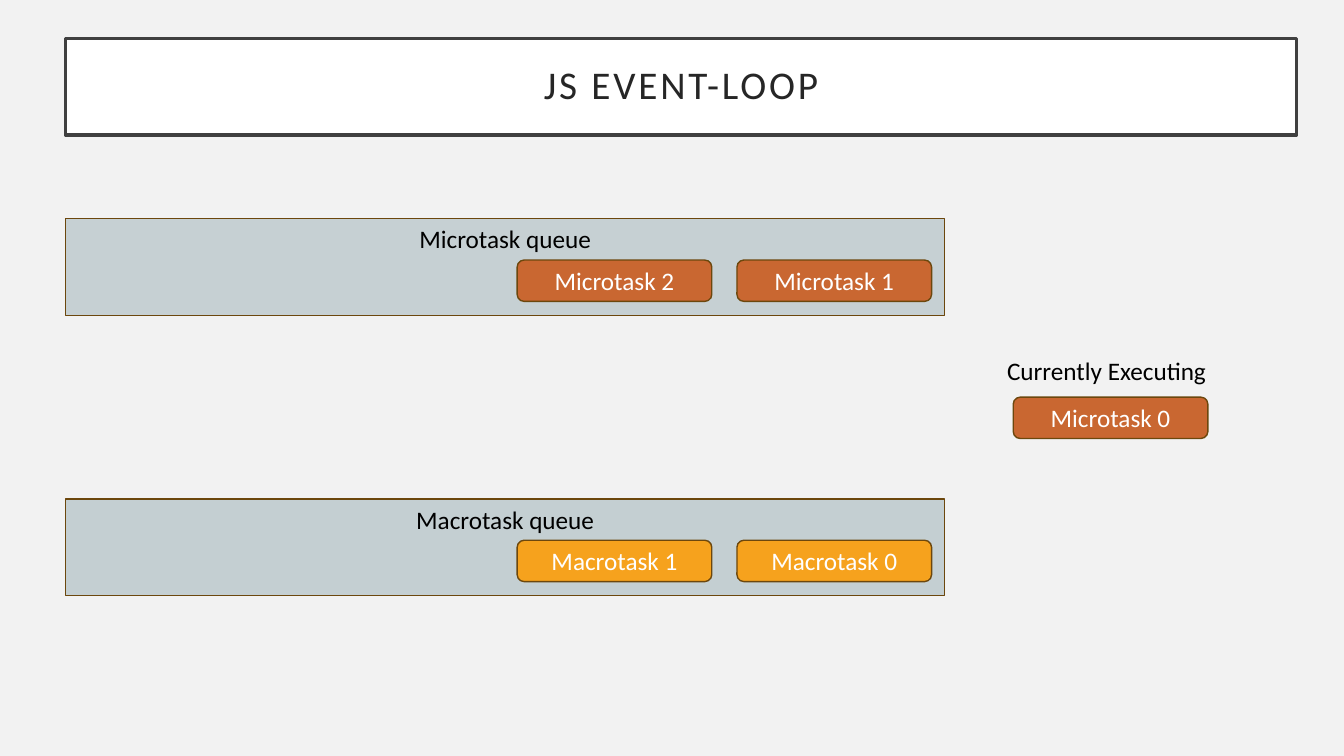
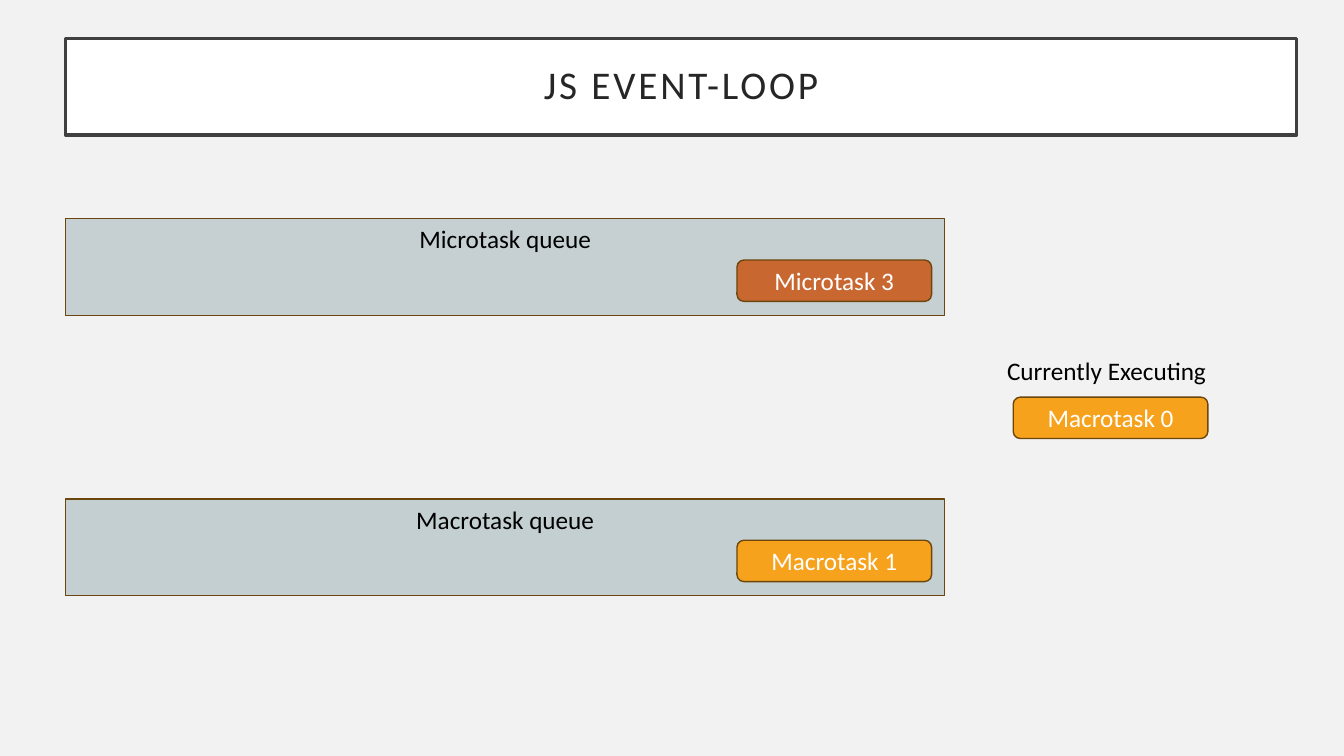
from lxml.etree import SubElement
from pptx import Presentation
from pptx.dml.color import RGBColor
from pptx.enum.shapes import MSO_SHAPE
from pptx.enum.text import MSO_ANCHOR, MSO_AUTO_SIZE, PP_ALIGN
from pptx.oxml.ns import qn
from pptx.util import Pt

PX = 9144
FONT = "Calibri"
BACKGROUND, WHITE, BLACK = "F2F2F2", "FFFFFF", "000000"
TITLE_LINE, TITLE_TEXT = "404040", "262626"
QUEUE_FILL, OUTLINE = "9BAFB5", "6C470D"
TASK_FILLS = {"Microtask": "C96731", "Macrotask": "F6A21D"}

TITLE_BOX = (65, 38, 1221, 96)
QUEUES = {
    "Microtask": ((65, 217, 872, 96), 50),
    "Macrotask": ((65, 495, 872, 96), 52),
}
EXECUTING_BOX = (989, 348, 224, 40)
TASK_WIDTH, TASK_HEIGHT, TASK_GAP = 193, 41, 25
QUEUE_MARGIN, QUEUE_HEADING = 13, 41

SLIDES = [
    {"Microtask": [1, 2], "Macrotask": [0, 1], "executing": ("Microtask", 0)},
    {"Microtask": [3], "Macrotask": [1], "executing": ("Macrotask", 0)},
]


def color(code):
    """Turn a hex string into a colour."""
    return RGBColor.from_string(code)


def emu(box):
    """Scale a box in px to EMU."""
    return [length * PX for length in box]


def write(shape, text, size, code, align):
    """Write one run of text and return it with its paragraph."""
    para = shape.text_frame.paragraphs[0]
    para.alignment = align
    span = para.add_run()
    span.text = text
    span.font.name = FONT
    span.font.size = Pt(size)
    span.font.color.rgb = color(code)
    return para, span


def add_panel(page, kind, box, fill, line, width):
    """Add a filled and outlined shape without a shadow."""
    panel = page.shapes.add_shape(kind, *emu(box))
    panel.shadow.inherit = False
    panel.fill.solid()
    panel.fill.fore_color.rgb = color(fill)
    panel.line.color.rgb = color(line)
    panel.line.width = Pt(width)
    return panel


def add_title(page, box, text):
    """Add the framed, letter-spaced title."""
    title = add_panel(page, MSO_SHAPE.RECTANGLE, box, WHITE, TITLE_LINE, 2.5)
    frame = title.text_frame
    frame.margin_left = frame.margin_right = 20 * PX
    frame.margin_top = frame.margin_bottom = 20 * PX
    para, span = write(title, text, 28, TITLE_TEXT, PP_ALIGN.CENTER)
    para.line_spacing = 0.9
    span.font._element.set("spc", "200")


def add_task(page, left, top, kind, number):
    """Add one rounded task at a position."""
    box = (left, top, TASK_WIDTH, TASK_HEIGHT)
    task = add_panel(page, MSO_SHAPE.ROUNDED_RECTANGLE, box, TASK_FILLS[kind], OUTLINE, 1)
    write(task, f"{kind} {number}", 18, WHITE, PP_ALIGN.CENTER)


def add_queue(page, box, opacity, kind, numbers):
    """Add a translucent queue whose tasks line up from its right end."""
    left, top, width, _ = box
    queue = add_panel(page, MSO_SHAPE.RECTANGLE, box, QUEUE_FILL, OUTLINE, 1)
    fill = queue._element.spPr.find(qn("a:solidFill"))
    SubElement(fill[0], qn("a:alpha")).set("val", str(opacity * 1000))
    queue.text_frame.vertical_anchor = MSO_ANCHOR.TOP
    write(queue, f"{kind} queue", 18, BLACK, PP_ALIGN.CENTER)
    first = left + width - QUEUE_MARGIN - TASK_WIDTH
    for place, number in enumerate(numbers):
        task_left = first - place * (TASK_WIDTH + TASK_GAP)
        add_task(page, task_left, top + QUEUE_HEADING, kind, number)


def add_executing(page, box, kind, number):
    """Add the label and the task that is running now."""
    left, top = box[:2]
    label = page.shapes.add_textbox(*emu(box))
    label.text_frame.word_wrap = False
    label.text_frame.auto_size = MSO_AUTO_SIZE.SHAPE_TO_FIT_TEXT
    write(label, "Currently Executing", 18, BLACK, PP_ALIGN.LEFT)
    add_task(page, left + 16, top + 46, kind, number)


def add_event_loop(deck, state):
    """Add a slide showing one state of the event loop."""
    page = deck.slides.add_slide(deck.slide_layouts[6])
    add_title(page, TITLE_BOX, "JS EVENT-LOOP")
    for kind, (box, opacity) in QUEUES.items():
        add_queue(page, box, opacity, kind, state[kind])
    add_executing(page, EXECUTING_BOX, *state["executing"])


def main():
    """Build and save the deck."""
    deck = Presentation()
    deck.slide_width, deck.slide_height = emu((1333, 750))
    backdrop = deck.slide_master.background.fill
    backdrop.solid()
    backdrop.fore_color.rgb = color(BACKGROUND)
    for state in SLIDES:
        add_event_loop(deck, state)
    deck.save("out.pptx")


if __name__ == "__main__":
    main()
